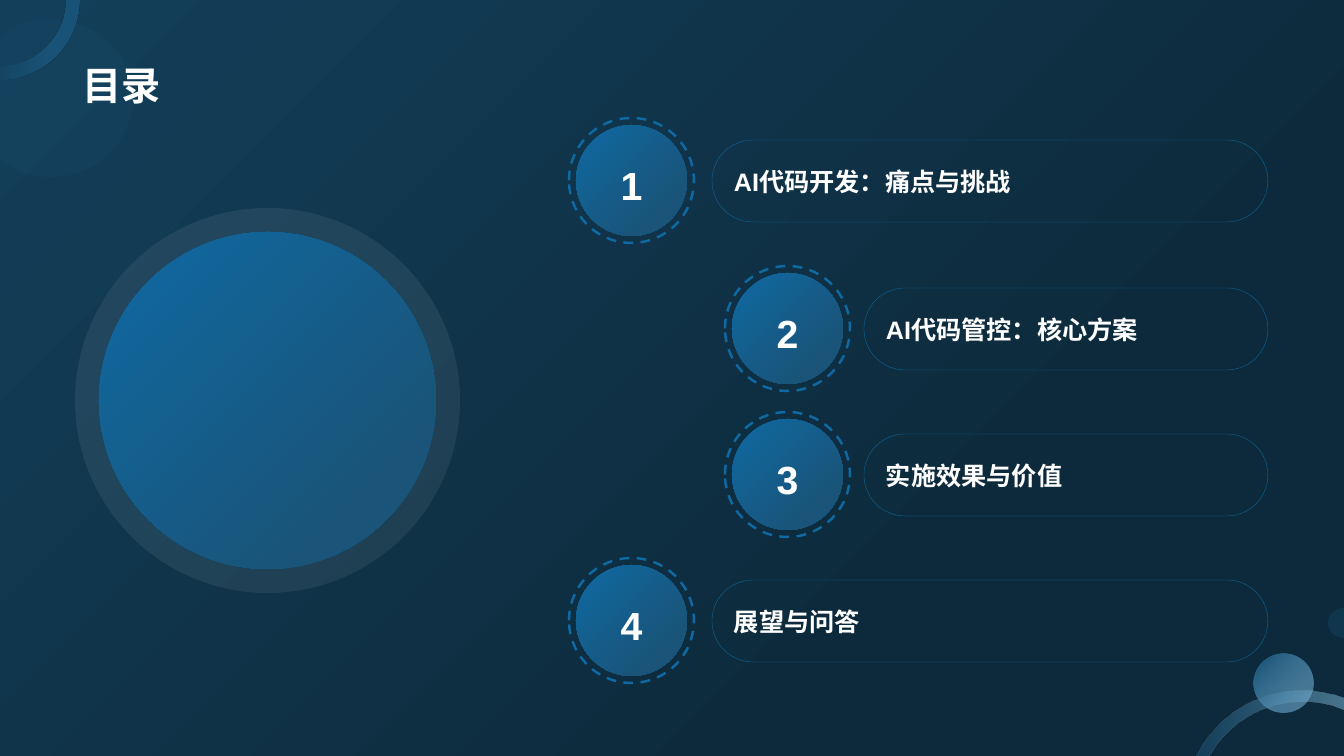
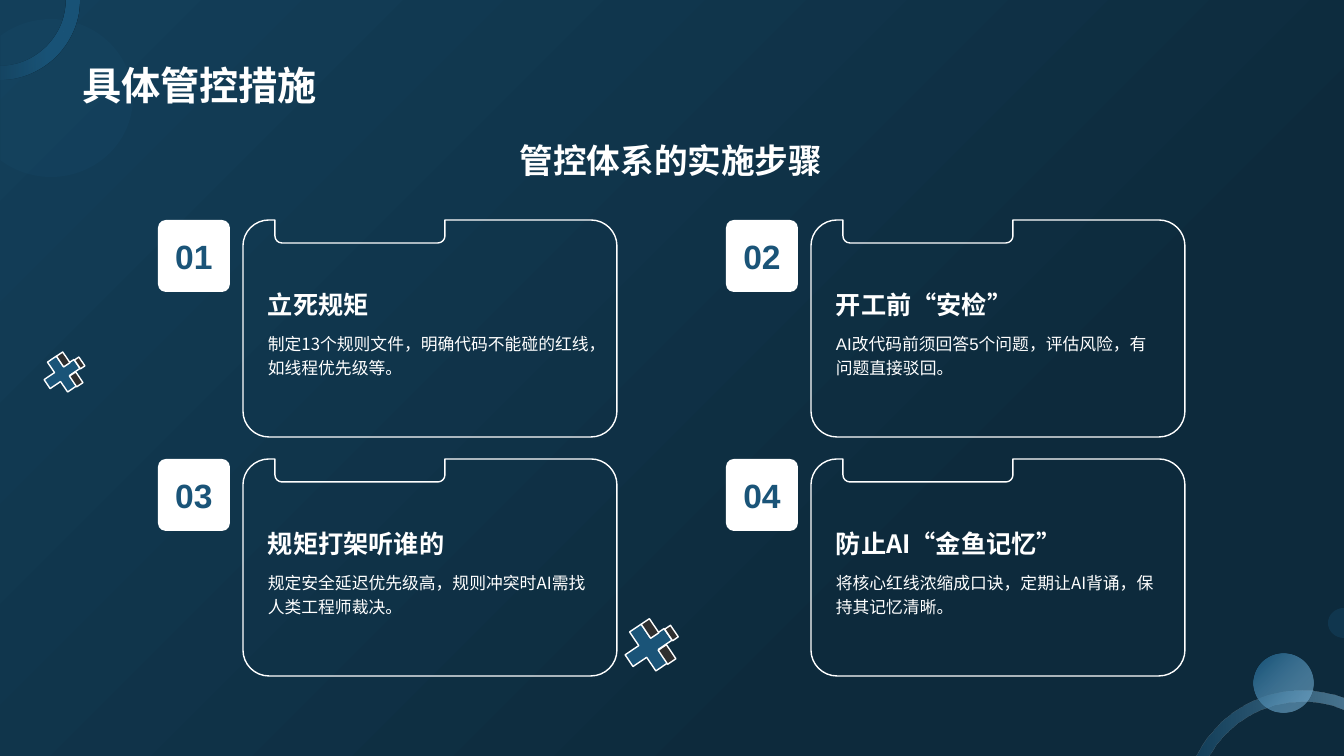
"""Build the agenda slide and the control measures slide."""
from dataclasses import dataclass
from math import ceil, cos, floor, radians, sin, tan
from typing import Optional

from lxml.etree import SubElement
from pptx import Presentation
from pptx.dml.color import RGBColor
from pptx.dml.fill import FillFormat
from pptx.enum.dml import MSO_LINE
from pptx.enum.lang import MSO_LANGUAGE_ID as Lang
from pptx.enum.shapes import MSO_SHAPE as Preset
from pptx.enum.text import MSO_ANCHOR as Anchor, MSO_AUTO_SIZE as AutoSize, PP_ALIGN as Align
from pptx.oxml.ns import qn
from pptx.shapes.autoshape import Shape
from pptx.slide import Slide
from pptx.text.text import TextFrame
from pptx.util import Emu, Pt

SLIDE_W, SLIDE_H = 1344, 756
SCALE = 12192000 / SLIDE_W
WHITE = RGBColor(0xFF, 0xFF, 0xFF)
BLUE = RGBColor(0x0F, 0x69, 0xA2)
STEEL = RGBColor(0x1A, 0x54, 0x78)
SKY = RGBColor(0x87, 0xC1, 0xE5)
DEEP = RGBColor(0x13, 0x3F, 0x5A)
NIGHT = RGBColor(0x0D, 0x2A, 0x3C)
CHARCOAL = RGBColor(0x2F, 0x2F, 0x2F)
ARIAL, NOTO = "Arial", "Noto Sans CJK SC"

Point = tuple[float, float]
Step = tuple[Point, ...]
Box = tuple[float, float, float, float]


@dataclass(frozen=True)
class Gradient:
    """Two stops (position in percent, colour) and a clockwise angle."""
    start: tuple[int, RGBColor]
    end: tuple[int, RGBColor]
    angle: int


@dataclass(frozen=True)
class Paint:
    """Fill and outline of a shape, with opacity in percent for each stop."""
    fill: RGBColor | Gradient | None = None
    opacity: tuple[int, ...] = ()
    line: Optional[RGBColor] = None
    width: float = 1
    dashed: bool = False


@dataclass(frozen=True)
class Chapter:
    """One agenda entry, placed by its badge and the start of its pill."""
    title: str
    left: int
    top: int
    pill_left: int
    latin: str = NOTO


@dataclass(frozen=True)
class Measure:
    """One control measure card."""
    title: str
    detail: str
    latin: str = NOTO


BACKDROP = Gradient((0, DEEP), (72, NIGHT), 45)
DISC = Paint(Gradient((0, BLUE), (80, STEEL), 45))

CHAPTERS = (
    Chapter("AI代码开发：痛点与挑战", 576, 125, 712, ARIAL),
    Chapter("AI代码管控：核心方案", 732, 273, 864, ARIAL),
    Chapter("实施效果与价值", 732, 419, 864),
    Chapter("展望与问答", 576, 565, 712),
)
MEASURES = (
    Measure("立死规矩", "制定13个规则文件，明确代码不能碰的红线，如线程优先级等。"),
    Measure("开工前“安检”", "AI改代码前须回答5个问题，评估风险，有问题直接驳回。", ARIAL),
    Measure("规矩打架听谁的", "规定安全延迟优先级高，规则冲突时AI需找人类工程师裁决。"),
    Measure("防止AI“金鱼记忆”", "将核心红线浓缩成口诀，定期让AI背诵，保持其记忆清晰。"),
)


def px(length: float) -> Emu:
    """Turn px into EMU."""
    return Emu(round(length * SCALE))


def apply_fill(fill: FillFormat, value: RGBColor | Gradient | None) -> None:
    """Set a fill to nothing, a colour or a gradient."""
    if value is None:
        fill.background()
    elif isinstance(value, Gradient):
        fill.gradient()
        fill.gradient_angle = 360 - value.angle
        for stop, (position, color) in zip(fill.gradient_stops, (value.start, value.end)):
            stop.position = position / 100
            stop.color.rgb = color
    else:
        fill.solid()
        fill.fore_color.rgb = value


def style(shape: Shape, paint: Paint) -> Shape:
    """Give a shape its fill, outline and opacity."""
    shape.shadow.inherit = False
    apply_fill(shape.fill, paint.fill)
    for color, percent in zip(shape.element.iter(qn("a:srgbClr")), paint.opacity):
        SubElement(color, qn("a:alpha")).set("val", str(percent * 1000))
    if paint.line is None:
        shape.line.fill.background()
    else:
        shape.line.color.rgb = paint.line
        shape.line.width = Pt(paint.width)
        if paint.dashed:
            shape.line.dash_style = MSO_LINE.DASH
    return shape


def add_preset(slide: Slide, preset: Preset, box: Box, paint: Paint,
               adjust: Optional[float] = None, turn: float = 0) -> Shape:
    """Add a styled preset shape."""
    shape = slide.shapes.add_shape(preset, *map(px, box))
    if adjust is not None:
        shape.adjustments[0] = adjust
    shape.rotation = turn
    return style(shape, paint)


def arc(x: float, y: float, rx: float, start: int, end: int, ry: Optional[float] = None) -> list[Step]:
    """Return a line to an arc and its curves, with angles clockwise from the right."""
    ry = ry or rx
    low, high = sorted((start, end))
    quarters = [90 * q for q in range(floor(low / 90) + 1, ceil(high / 90))]
    angles = sorted([low, *quarters, high], reverse=start > end)

    def at(angle: int, pull: float = 0) -> Point:
        """Return the point at an angle, pulled along its tangent."""
        c, s = cos(radians(angle)), sin(radians(angle))
        return x + rx * (c - pull * s), y + ry * (s + pull * c)

    steps: list[Step] = [(at(start),)]
    for a, b in zip(angles, angles[1:]):
        pull = 4 / 3 * tan(radians(b - a) / 4)
        steps.append((at(a, pull), at(b, -pull), at(b)))
    return steps


def add_outline(slide: Slide, steps: list[Step], paint: Paint,
                origin: Point = (0, 0)) -> Shape:
    """Add a styled closed freeform of lines and cubic curves."""
    route = [[(px(origin[0] + x), px(origin[1] + y)) for x, y in step] for step in steps]
    builder = slide.shapes.build_freeform(*route[0][-1], scale=1.0)
    builder.add_line_segments([step[-1] for step in route[1:]], close=True)
    shape = builder.convert_to_shape()
    for line, step in zip(list(shape.element.iter(qn("a:lnTo"))), route[1:]):
        if len(step) == 3:
            line.tag = qn("a:cubicBezTo")
            line.clear()
            for x, y in step:
                point = SubElement(line, qn("a:pt"))
                point.set("x", str(x - shape.left))
                point.set("y", str(y - shape.top))
    return style(shape, paint)


def write(frame: TextFrame, text: str, *, size: float, color: RGBColor = WHITE,
          bold: bool = True, latin: str = NOTO, align: Align = Align.LEFT,
          anchor: Anchor = Anchor.MIDDLE, spacing: float = 1, wrap: bool = True) -> None:
    """Write one formatted paragraph."""
    frame.auto_size = AutoSize.NONE
    frame.word_wrap = wrap
    frame.vertical_anchor = anchor
    paragraph = frame.paragraphs[0]
    paragraph.alignment = align
    paragraph.line_spacing = spacing
    run = paragraph.add_run()
    run.text = text
    font = run.font
    font.size, font.bold, font.name = Pt(size), bold, latin
    font.color.rgb = color
    font.language_id = Lang.SIMPLIFIED_CHINESE
    SubElement(font._element, qn("a:ea")).set("typeface", NOTO)


def add_text(slide: Slide, box: Box, text: str, **text_format) -> None:
    """Add a text box with one formatted paragraph."""
    write(slide.shapes.add_textbox(*map(px, box)).text_frame, text, **text_format)


def add_title(slide: Slide, text: str) -> None:
    """Place and format the title placeholder."""
    title = slide.shapes.title
    title.left, title.top, title.width, title.height = map(px, (72, 14, 1198, 99))
    write(title.text_frame, text, size=28, anchor=Anchor.BOTTOM)


def draw_ornaments(slide: Slide) -> list[Shape]:
    """Draw the corner ornaments shared by all slides."""
    corner_ring = arc(0, 0, 80, 0, 90) + arc(0, 0, 66, 90, 0)
    low_ring = arc(1302, 809, 118, 207, 291) + arc(1302, 809, 107, 293, 210)
    return [
        add_outline(slide, arc(51, 98, 82, -128, 128, ry=79), Paint(STEEL, (15,))),
        add_outline(slide, corner_ring, Paint(Gradient((39, STEEL), (100, STEEL), 180), (100, 15))),
        add_outline(slide, low_ring, Paint(Gradient((0, SKY), (100, STEEL), 180), (49, 50))),
        add_outline(slide, arc(SLIDE_W, 623, 16, 90, 270, ry=15), Paint(STEEL, (30,))),
        add_preset(slide, Preset.OVAL, (1254, 654, 59, 59),
                   Paint(Gradient((1, SKY), (91, STEEL), 225), (50, 100))),
    ]


def move_to_master(prs: Presentation, ornaments: list[Shape]) -> None:
    """Put the ornaments behind everything on the slide master."""
    tree = prs.slide_master.shapes.element
    for index, ornament in enumerate(ornaments):
        ornament.element.nvSpPr.cNvPr.set("id", str(100 + index))
        tree.insert(2 + index, ornament.element)


def draw_circle(slide: Slide, left: int, top: int, diameter: int, paint: Paint) -> Shape:
    """Draw a circle."""
    return add_preset(slide, Preset.OVAL, (left, top, diameter, diameter), paint)


def draw_chapter(slide: Slide, number: int, chapter: Chapter) -> None:
    """Draw the pill and the numbered circle of an agenda entry."""
    left, top = chapter.left, chapter.top
    pill = add_preset(slide, Preset.ROUNDED_RECTANGLE,
                      (chapter.pill_left, top + 15, 1268 - chapter.pill_left, 82),
                      Paint(line=BLUE, width=0.25), 0.5)
    write(pill.text_frame, chapter.title, size=18, latin=chapter.latin)
    badge = draw_circle(slide, left, top, 111, DISC)
    write(badge.text_frame, str(number), size=28, latin=ARIAL,
          align=Align.CENTER, spacing=1.2, wrap=False)
    draw_circle(slide, left - 7, top - 7, 125, Paint(line=BLUE, width=1.75, dashed=True))


def draw_measure(slide: Slide, index: int, measure: Measure) -> None:
    """Draw the notched card and the number tile of a measure."""
    row, column = divmod(index, 2)
    left, top = 243 + 568 * column, 220 + 239 * row
    width, height, corner, notch = 374, 217, 26, 7
    outline = [
        *arc(corner, corner, corner, 180, 270), ((32, 0),),
        *arc(39, 16, notch, 180, 90), *arc(195, 16, notch, 90, 0), ((202, 0),),
        *arc(width - corner, corner, corner, 270, 360),
        *arc(width - corner, height - corner, corner, 0, 90),
        *arc(corner, height - corner, corner, 90, 180),
    ]
    add_outline(slide, outline, Paint(line=WHITE), (left, top))
    add_text(slide, (left + 15, top + 33, 344, 72), measure.title, size=18, anchor=Anchor.BOTTOM)
    add_text(slide, (left + 15, top + 105, 344, 95), measure.detail, size=12, bold=False,
             latin=measure.latin, anchor=Anchor.TOP, spacing=1.2)
    tile = add_preset(slide, Preset.ROUNDED_RECTANGLE, (left - 85, top, 72, 72),
                      Paint(WHITE), 0.11)
    write(tile.text_frame, f"{index + 1:02}", size=24, color=STEEL, latin=ARIAL,
          align=Align.CENTER, wrap=False)


def draw_cross(slide: Slide, left: int, top: int, size: int) -> None:
    """Draw a tilted cross with dark side faces."""
    ratio = size / 47
    add_preset(slide, Preset.CROSS, (left, top, size, size), Paint(STEEL, line=WHITE), 0.35, 146)
    for x, y, width, height in ((37, 22, 10, 17), (20, -4, 10, 17), (43, 2, 7, 14)):
        add_preset(slide, Preset.RECTANGLE,
                   (left + x * ratio, top + y * ratio, width * ratio, height * ratio),
                   Paint(CHARCOAL, line=WHITE), turn=146)


def build_agenda(slide: Slide) -> None:
    """Fill the agenda slide."""
    add_title(slide, "目录")
    draw_circle(slide, 75, 208, 385, Paint(WHITE, (7,)))
    draw_circle(slide, 99, 232, 337, DISC)
    for number, chapter in enumerate(CHAPTERS, 1):
        draw_chapter(slide, number, chapter)


def build_measures(slide: Slide) -> None:
    """Fill the control measures slide."""
    add_title(slide, "具体管控措施")
    add_text(slide, (72, 124, 1198, 72), "管控体系的实施步骤", size=24, align=Align.CENTER)
    draw_cross(slide, 625, 624, 47)
    draw_cross(slide, 44, 356, 36)
    for index, measure in enumerate(MEASURES):
        draw_measure(slide, index, measure)


def main() -> None:
    """Build and save the presentation."""
    prs = Presentation()
    prs.slide_width, prs.slide_height = px(SLIDE_W), px(SLIDE_H)
    apply_fill(prs.slide_master.background.fill, BACKDROP)
    title_only = prs.slide_layouts[5]
    agenda, measures = (prs.slides.add_slide(title_only) for _ in range(2))
    move_to_master(prs, draw_ornaments(agenda))
    build_agenda(agenda)
    build_measures(measures)
    prs.save("out.pptx")


if __name__ == "__main__":
    main()
